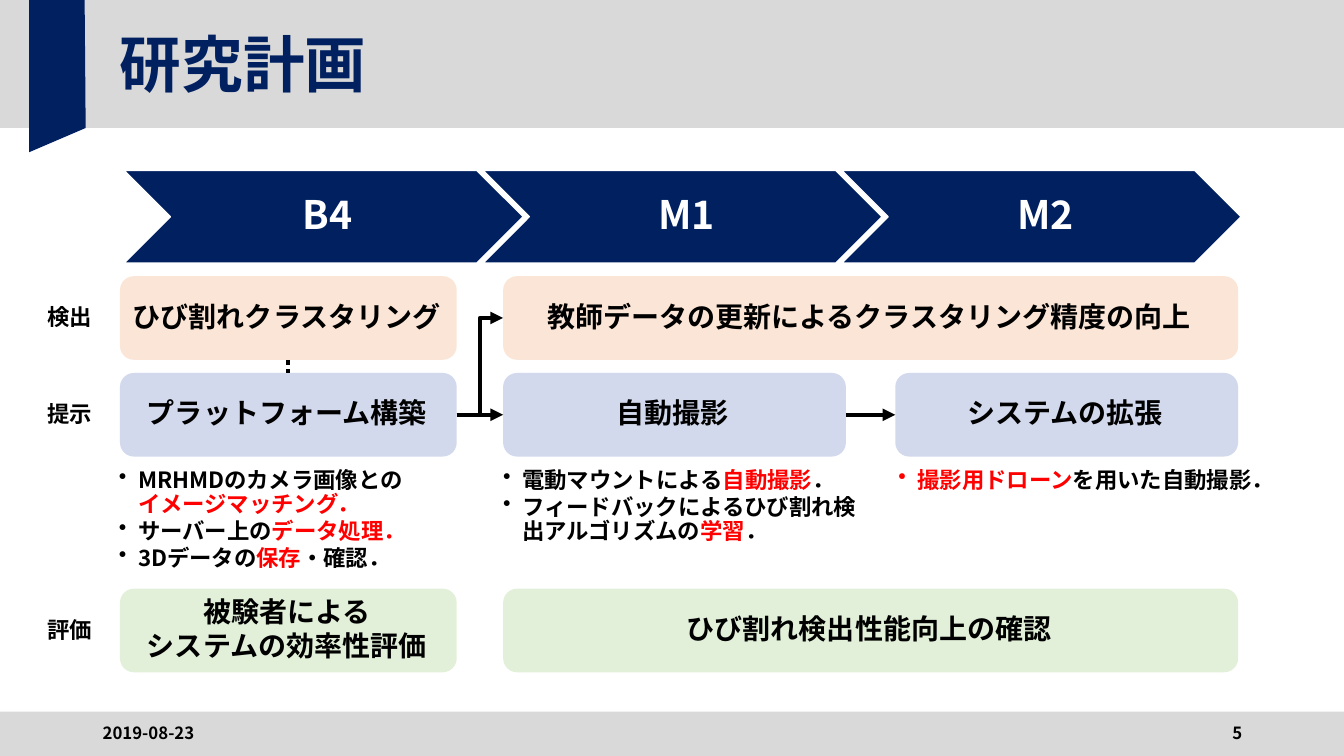
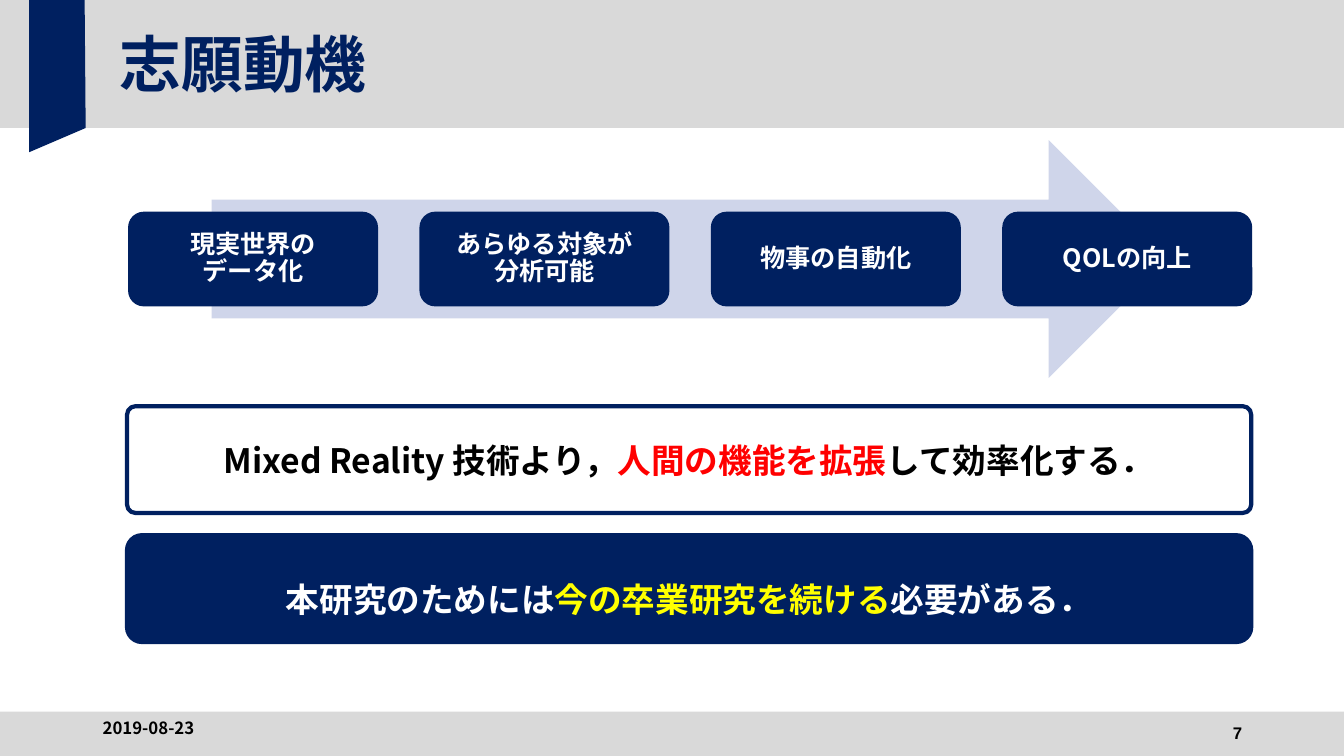
from dataclasses import dataclass

from lxml import etree
from pptx import Presentation
from pptx.dml.color import RGBColor
from pptx.enum.dml import MSO_LINE
from pptx.enum.shapes import MSO_CONNECTOR, MSO_SHAPE
from pptx.enum.text import MSO_ANCHOR, MSO_AUTO_SIZE, PP_ALIGN
from pptx.oxml.ns import qn
from pptx.util import Inches, Pt

LEFT, CENTER, RIGHT = PP_ALIGN.LEFT, PP_ALIGN.CENTER, PP_ALIGN.RIGHT
TOP, MIDDLE = MSO_ANCHOR.TOP, MSO_ANCHOR.MIDDLE
ROUNDED, CHEVRON = MSO_SHAPE.ROUNDED_RECTANGLE, MSO_SHAPE.CHEVRON
RECTANGLE, ARROW = MSO_SHAPE.RECTANGLE, MSO_SHAPE.RIGHT_ARROW
STRAIGHT, ELBOW = MSO_CONNECTOR.STRAIGHT, MSO_CONNECTOR.ELBOW
SITE_TOP, SITE_LEFT, SITE_BOTTOM, SITE_RIGHT = range(4)


@dataclass(frozen=True)
class Theme:
    font: str = "Noto Sans CJK JP"
    number_font: str = "Arial"
    navy: str = "002060"
    gray: str = "D9D9D9"
    peach: str = "FBE5D6"
    lavender: str = "CFD5EA"
    green: str = "E2F0D9"
    white: str = "FFFFFF"
    black: str = "000000"
    red: str = "FF0000"
    yellow: str = "FFFF00"
    title: int = 44
    stage: int = 28
    message: int = 24
    card: int = 20
    step: int = 18
    note: int = 16
    footer: int = 12


THEME = Theme()
WIDTH, HEIGHT = 13.33, 7.5
HEADER_HEIGHT, FOOTER_TOP = 1.27, 7.06
RIBBON = [(0.29, 0), (0.84, 0), (0.85, 1.27), (0.29, 1.51)]
DATE = "2019-08-23"

STAGES = ["B4", "M1", "M2"]
COLUMNS = [(1.19, 4.53), (4.99, 8.39), (8.88, 12.28)]
CARD_HEIGHT = 0.83
CARD_INSETS = (0.08, 0.08, 0.11, 0.12)
ROWS = [
    ("検出", 2.74, THEME.peach, 100, [
        ("ひび割れクラスタリング", 0, 0),
        ("教師データの更新によるクラスタリング精度の向上", 1, 2)]),
    ("提示", 3.70, THEME.lavender, 90, [
        ("プラットフォーム構築", 0, 0),
        ("自動撮影", 1, 1),
        ("システムの拡張", 2, 2)]),
    ("評価", 5.84, THEME.green, 100, [
        ("被験者による\nシステムの効率性評価", 0, 0),
        ("ひび割れ検出性能向上の確認", 1, 2)]),
]
NOTES = [
    (1.06, 3.67, ["MRHMDのカメラ画像との\n*イメージマッチング．*",
                  "サーバー上の*データ処理．*",
                  "3Dデータの*保存*・確認．"]),
    (4.87, 3.67, ["電動マウントによる*自動撮影*．",
                  "フィードバックによるひび割れ検出アルゴリズムの*学習*．"]),
    (8.79, 3.81, ["*撮影用ドローン*を用いた自動撮影．"]),
]
LINKS = [
    (STRAIGHT, ("提示", 0), SITE_RIGHT, ("提示", 1), SITE_LEFT, True),
    (ELBOW, ("提示", 0), SITE_RIGHT, ("検出", 1), SITE_LEFT, True),
    (STRAIGHT, ("提示", 1), SITE_RIGHT, ("提示", 2), SITE_LEFT, True),
    (STRAIGHT, ("提示", 0), SITE_TOP, ("検出", 0), SITE_BOTTOM, False),
]
STEPS = ["現実世界の\nデータ化", "あらゆる対象が\n分析可能", "物事の自動化", "QOLの向上"]
MESSAGES = [
    ("Mixed Reality 技術より，*人間の機能を拡張*して効率化する．",
     4.03, 0.08, THEME.white, dict(color=THEME.black, accent=THEME.red)),
    ("本研究のためには*今の卒業研究を続ける*必要がある．",
     5.31, 0.14, THEME.navy,
     dict(color=THEME.white, accent=THEME.yellow, spacing=1.5)),
]


def assign(target, **values):
    for name, value in values.items():
        setattr(target, name, value)


def inches(*values):
    return [Inches(value) for value in values]


def add_span(para, text, size, color, font):
    span = para.add_run()
    span.text = text
    assign(span.font, name=font, size=Pt(size), bold=True)
    span.font.color.rgb = RGBColor.from_string(color)
    properties = span.font._element
    properties.set("lang", "ja-JP")
    etree.SubElement(properties, qn("a:ea")).set("typeface", font)


def write(box, paragraphs, size, color=THEME.black, accent=THEME.red,
          font=THEME.font, align=CENTER, anchor=MIDDLE, spacing=1.0,
          after=0, insets=(0.1, 0.05, 0.1, 0.05), bullet=False):
    frame = box.text_frame
    sides = ("margin_left", "margin_top", "margin_right", "margin_bottom")
    assign(frame, word_wrap=True, auto_size=MSO_AUTO_SIZE.NONE,
           vertical_anchor=anchor, **dict(zip(sides, inches(*insets))))
    for index, text in enumerate(paragraphs):
        para = frame.add_paragraph() if index else frame.paragraphs[0]
        assign(para, alignment=align, line_spacing=spacing, space_after=Pt(after))
        if bullet:
            properties = para._p.get_or_add_pPr()
            properties.set("marL", str(Inches(0.19)))
            properties.set("indent", str(-Inches(0.19)))
            etree.SubElement(properties, qn("a:buChar")).set("char", "•")
        for part, piece in enumerate(text.split("*")):
            for line, words in enumerate(piece.split("\n")):
                if line:
                    para.add_line_break()
                if words:
                    add_span(para, words, size, accent if part % 2 else color, font)


def paint(shape, fill, line=None, weight=1, alpha=100):
    shape.shadow.inherit = False
    shape.fill.solid()
    shape.fill.fore_color.rgb = RGBColor.from_string(fill)
    if alpha < 100:
        tint = shape._element.spPr.find(qn("a:solidFill"))[0]
        etree.SubElement(tint, qn("a:alpha")).set("val", str(alpha * 1000))
    if line:
        shape.line.color.rgb = RGBColor.from_string(line)
        shape.line.width = Pt(weight)
    else:
        shape.line.fill.background()


def add_block(page, kind, area, fill, **outline):
    shape = page.shapes.add_shape(kind, *inches(*area))
    paint(shape, fill, **outline)
    return shape


def add_text(page, area, paragraphs, size, **options):
    write(page.shapes.add_textbox(*inches(*area)), paragraphs, size, **options)


def add_link(page, kind, start, start_site, end, end_site, arrow):
    link = page.shapes.add_connector(kind, 0, 0, 0, 0)
    link.begin_connect(start, start_site)
    link.end_connect(end, end_site)
    link.line.color.rgb = RGBColor.from_string(THEME.black)
    link.line.width = Pt(3)
    if arrow:
        outline = link.line._get_or_add_ln()
        etree.SubElement(outline, qn("a:tailEnd")).set("type", "triangle")
    else:
        link.line.dash_style = MSO_LINE.ROUND_DOT
    etree.SubElement(link._element.spPr, qn("a:effectLst"))


def decorate_layout(layout, page):
    builder = page.shapes.build_freeform(*inches(*RIBBON[0]), scale=1.0)
    builder.add_line_segments([inches(*point) for point in RIBBON[1:]], close=True)
    ribbon = builder.convert_to_shape()
    paint(ribbon, THEME.navy)
    bands = [(0, FOOTER_TOP, WIDTH, HEIGHT - FOOTER_TOP), (0, 0, WIDTH, HEADER_HEIGHT)]
    parts = [add_block(page, RECTANGLE, band, THEME.gray) for band in bands]
    for position, part in enumerate(parts + [ribbon], 2):
        layout.shapes._spTree.insert(position, part._element)
    left, top, width, height = inches(1.09, 0.12, 11.15, 1.11)
    assign(layout.placeholders[0], left=left, top=top, width=width, height=height)


def add_page(deck, layout, title, number, number_font=THEME.font, date_top=7.07):
    page = deck.slides.add_slide(layout)
    write(page.shapes.title, [title], THEME.title, color=THEME.navy,
          align=LEFT, spacing=0.9)
    add_text(page, (0.92, date_top, 3, 0.4), [DATE], THEME.footer, align=LEFT)
    add_text(page, (9.42, 7.07, 3, 0.4), [number], THEME.footer,
             align=RIGHT, font=number_font)
    return page


def fill_plan(page):
    for index, stage in enumerate(STAGES):
        shape = add_block(page, CHEVRON, (1.23 + index * 3.56, 1.69, 3.96, 0.92),
                          THEME.navy, line=THEME.white)
        write(shape, [stage], THEME.stage, color=THEME.white, spacing=0.9,
              insets=(0.12, 0.04, 0.04, 0.04))
    cards = {}
    for label, top, fill, alpha, entries in ROWS:
        add_text(page, (0.29, top + 0.22, 0.8, 0.4), [label], THEME.note,
                 spacing=0.9, insets=(0, 0, 0, 0))
        for text, first, last in entries:
            left, right = COLUMNS[first][0], COLUMNS[last][1]
            card = add_block(page, ROUNDED, (left, top, right - left, CARD_HEIGHT),
                             fill, alpha=alpha)
            write(card, [text], THEME.card, insets=CARD_INSETS)
            cards[label, first] = card
    for left, width, items in NOTES:
        add_text(page, (left, 4.65, width, 0.91), items, THEME.note, align=LEFT,
                 anchor=TOP, spacing=0.9, after=2, insets=(0.12, 0, 0, 0), bullet=True)
    for kind, start, start_site, end, end_site, arrow in LINKS:
        add_link(page, kind, cards[start], start_site, cards[end], end_site, arrow)


def fill_motivation(page):
    add_block(page, ARROW, (2.1, 1.39, 9.48, 2.36), THEME.lavender)
    for index, step in enumerate(STEPS):
        card = add_block(page, ROUNDED, (1.27 + index * 2.89, 2.1, 2.48, 0.94), THEME.navy)
        write(card, [step], THEME.step, color=THEME.white, spacing=0.9,
              insets=(0.07, 0.07, 0.07, 0.07))
    for text, top, corner, fill, style in MESSAGES:
        banner = add_block(page, ROUNDED, (1.26, top, 11.15, 1.06), fill,
                           line=THEME.navy, weight=3)
        banner.adjustments[0] = corner
        write(banner, [text], THEME.message, **style)


def main():
    deck = Presentation()
    assign(deck, slide_width=Inches(WIDTH), slide_height=Inches(HEIGHT))
    layout = deck.slide_layouts[5]
    plan = add_page(deck, layout, "研究計画", "5")
    decorate_layout(layout, plan)
    fill_plan(plan)
    fill_motivation(add_page(deck, layout, "志願動機", "7", THEME.number_font, 7.02))
    deck.save("out.pptx")


if __name__ == "__main__":
    main()
